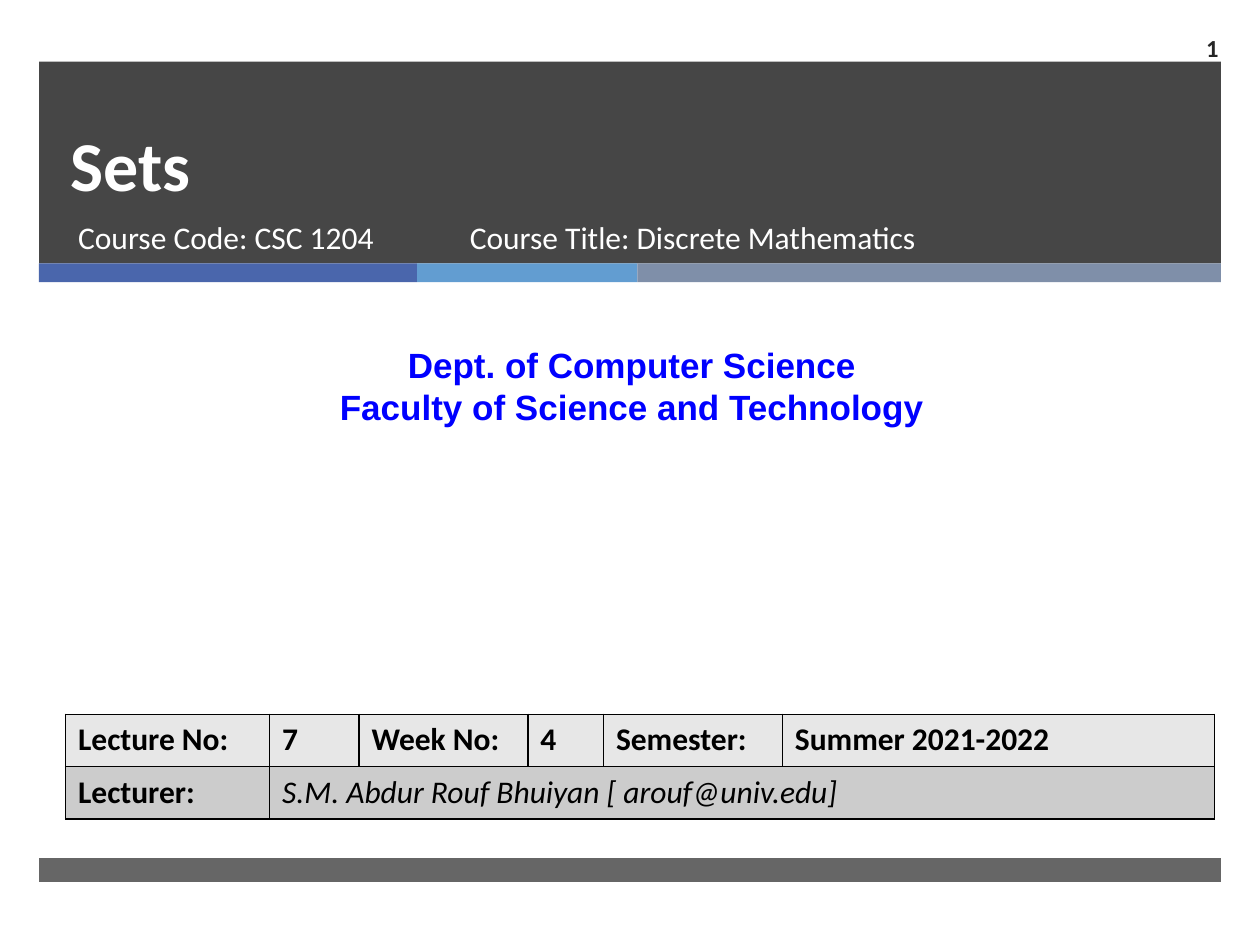
import pptx
import pptx.dml.color
import pptx.enum.shapes
import pptx.enum.text
import pptx.oxml
import pptx.oxml.ns
import pptx.util

RGBColor = pptx.dml.color.RGBColor
ALIGN = pptx.enum.text.PP_ALIGN
ANCHOR = pptx.enum.text.MSO_ANCHOR

CHARCOAL = RGBColor(0x26, 0x26, 0x26)
INDIGO = RGBColor(0x4A, 0x66, 0xAC)
SKY = RGBColor(0x62, 0x9D, 0xD1)
SLATE = RGBColor(0x7F, 0x8F, 0xA9)
WHITE = RGBColor(0xFF, 0xFF, 0xFF)
BLACK = RGBColor(0x00, 0x00, 0x00)
BLUE = RGBColor(0x00, 0x00, 0xFF)
LIGHT_GREY = RGBColor(0xE7, 0xE7, 0xE7)
MID_GREY = RGBColor(0xCC, 0xCC, 0xCC)

SLIDE_WIDTH = pptx.util.Inches(10)
SLIDE_HEIGHT = pptx.util.Inches(7.5)
COLUMN = SLIDE_WIDTH / 100
ROW = SLIDE_HEIGHT / 75

BASE_FONT = {"name": "Calibri", "size": pptx.util.Pt(18), "bold": False}
COURSE_FONT = {**BASE_FONT, "color": WHITE}
TITLE_FONT = {**COURSE_FONT, "size": pptx.util.Pt(40), "bold": True}
NUMBER_FONT = {**BASE_FONT, "size": pptx.util.Pt(14), "bold": True, "color": CHARCOAL}
DEPARTMENT_FONT = {"name": "Arial", "size": pptx.util.Pt(20), "bold": True, "color": BLUE}
LABEL_FONT = {**BASE_FONT, "bold": True, "color": BLACK}
LECTURER_FONT = {**BASE_FONT, "italic": True, "color": BLACK}


def to_lengths(box):
    return [round(value * unit) for value, unit in zip(box, (COLUMN, ROW) * 2)]


def set_attributes(target, values):
    for name, value in values.items():
        setattr(target, name, value)


def write_lines(text_frame, lines, font, **paragraph_format):
    text_frame.text = "\n".join(lines)
    for paragraph in text_frame.paragraphs:
        set_attributes(paragraph, paragraph_format)
        for run in paragraph.runs:
            set_attributes(run.font, {k: v for k, v in font.items() if k != "color"})
            run.font.color.rgb = font["color"]


def fill_placeholder(shape, box, text, font, anchor, **paragraph_format):
    set_attributes(shape, dict(zip(("left", "top", "width", "height"), to_lengths(box))))
    set_attributes(shape.text_frame, {
        "auto_size": pptx.enum.text.MSO_AUTO_SIZE.NONE,
        "vertical_anchor": anchor,
    })
    write_lines(shape.text_frame, [text], font, alignment=ALIGN.LEFT,
                space_before=pptx.util.Pt(0), **paragraph_format)
    shape.element.getparent().append(shape.element)


def add_text(slide, box, lines, font, alignment=ALIGN.LEFT, anchor=ANCHOR.TOP):
    shape = slide.shapes.add_textbox(*to_lengths(box))
    set_attributes(shape.text_frame, {"word_wrap": True, "vertical_anchor": anchor})
    write_lines(shape.text_frame, lines, font, alignment=alignment)


def add_band(slide, box, color, opacity=100):
    shape = slide.shapes.add_shape(pptx.enum.shapes.MSO_SHAPE.RECTANGLE, *to_lengths(box))
    shape.shadow.inherit = False
    shape.fill.solid()
    shape.fill.fore_color.rgb = color
    shape.line.fill.background()
    if opacity < 100:
        color_element = shape.element.spPr.find(".//" + pptx.oxml.ns.qn("a:srgbClr"))
        alpha = pptx.oxml.parse_xml(
            f'<a:alpha {pptx.oxml.ns.nsdecls("a")} val="{opacity * 1000}"/>')
        color_element.append(alpha)


def add_header(slide, box):
    left, top, width, height = box
    stripe_height = 1.5
    stripe_top = top + height - stripe_height
    add_band(slide, (left, top, width, height - stripe_height), CHARCOAL, 85)
    stripe_left = left
    for stripe_width, color in ((30, INDIGO), (17.5, SKY), (46.3, SLATE)):
        add_band(slide, (stripe_left, stripe_top, stripe_width, stripe_height), color)
        stripe_left += stripe_width
    fill_placeholder(slide.shapes.title, (left + 1.5, top, 85.4, 11.9), "Sets",
                     TITLE_FONT, ANCHOR.BOTTOM, line_spacing=pptx.util.Pt(46))
    course_top = top + 11.9
    fill_placeholder(slide.placeholders[1], (left + 2.1, course_top, 30.5, 5.3),
                     "Course Code: CSC 1204", COURSE_FONT, ANCHOR.TOP)
    add_text(slide, (left + 33.2, course_top, 45.5, 5.3),
             ["Course Title: Discrete Mathematics"], COURSE_FONT)


def add_border(cell):
    properties = cell._tc.get_or_add_tcPr()
    for position, side in enumerate(("lnL", "lnR", "lnT", "lnB")):
        properties.insert(position, pptx.oxml.parse_xml(
            f'<a:{side} {pptx.oxml.ns.nsdecls("a")} w="12700"><a:solidFill>'
            f'<a:srgbClr val="{BLACK}"/></a:solidFill></a:{side}>'))


def add_lecture_table(slide, box):
    column_widths = (16.2, 7.1, 13.4, 6, 14.2, 34.3)
    rows = (
        (("Lecture No:", "7", "Week No:", "4", "Semester:", "Summer 2021-2022"), LIGHT_GREY),
        (("Lecturer:", "S.M. Abdur Rouf Bhuiyan [ arouf@univ.edu]"), MID_GREY),
    )
    table = slide.shapes.add_table(len(rows), len(column_widths), *to_lengths(box)).table
    for column, width in zip(table.columns, column_widths):
        column.width = round(width * COLUMN)
    table.cell(1, 1).merge(table.cell(1, len(column_widths) - 1))
    for row_index, (texts, color) in enumerate(rows):
        for column_index in range(len(column_widths)):
            cell = table.cell(row_index, column_index)
            cell.fill.solid()
            cell.fill.fore_color.rgb = color
            add_border(cell)
        for column_index, text in enumerate(texts):
            font = LECTURER_FONT if (row_index, column_index) == (1, 1) else LABEL_FONT
            write_lines(table.cell(row_index, column_index).text_frame, [text], font)


def build_title_slide(presentation):
    slide = presentation.slides.add_slide(presentation.slide_layouts[0])
    add_header(slide, (3.1, 4.9, 93.8, 17.5))
    add_band(slide, (3.1, 68.1, 93.8, 1.9), CHARCOAL, 70)
    add_text(slide, (0.8, 26.8, 98.7, 7.7),
             ["Dept. of Computer Science", "Faculty of Science and Technology"],
             DEPARTMENT_FONT, ALIGN.CENTER)
    add_lecture_table(slide, (5.2, 56.7, 91.2, 8.3))
    add_text(slide, (90.8, 1.8, 6.9, 3.9), ["1"], NUMBER_FONT, ALIGN.RIGHT, ANCHOR.MIDDLE)


def main():
    presentation = pptx.Presentation()
    set_attributes(presentation, {"slide_width": SLIDE_WIDTH, "slide_height": SLIDE_HEIGHT})
    build_title_slide(presentation)
    presentation.save("out.pptx")


if __name__ == "__main__":
    main()
